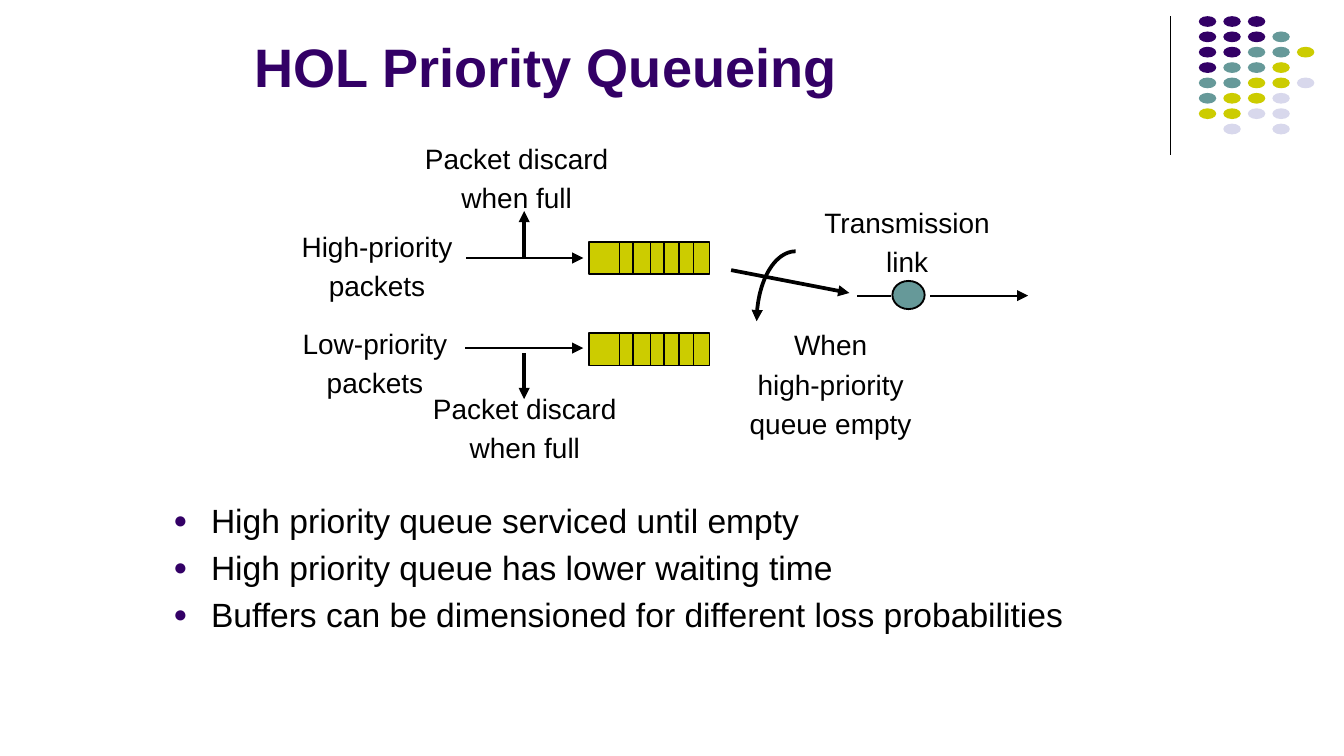
from math import cos, pi, sin

from lxml.etree import SubElement
from pptx import Presentation
from pptx.dml.color import RGBColor
from pptx.enum.shapes import MSO_CONNECTOR, MSO_SHAPE
from pptx.enum.text import MSO_ANCHOR, MSO_AUTO_SIZE, PP_ALIGN
from pptx.oxml.ns import qn
from pptx.util import Inches, Pt

# Content
TITLE = "HOL Priority Queueing"
POINTS = [
    "High priority queue serviced until empty",
    "High priority queue has lower waiting time",
    "Buffers can be dimensioned for different loss probabilities",
]
LABELS = [  # left, top, width, height, lines
    (6.05, 1.49, 1.4, 0.63, ["Transmission", "link"]),
    (3.08, 1.01, 1.53, 0.63, ["Packet discard", "when full"]),
    (2.16, 1.67, 1.29, 0.63, ["High-priority", "packets"]),
    (2.17, 2.39, 1.24, 0.63, ["Low-priority", "packets"]),
    (3.14, 2.87, 1.53, 0.63, ["Packet discard", "when full"]),
    (5.42, 2.4, 1.52, 0.93, ["When", "high-priority", "queue empty"]),
]
ARROWS = [  # x1, y1, x2, y2, weight
    (3.47, 1.92, 4.34, 1.92, 1),  # high-priority arrivals
    (3.46, 2.59, 4.34, 2.59, 1),  # low-priority arrivals
    (3.9, 1.91, 3.9, 1.57, 2),    # high-priority discard
    (3.9, 2.63, 3.9, 2.97, 2),    # low-priority discard
    (5.44, 2.01, 6.32, 2.18, 2),  # server
    (6.92, 2.2, 7.65, 2.2, 1),    # link output
]
QUEUE_TOPS = [1.8, 2.48]
QUEUE_LEFT, QUEUE_WIDTH, QUEUE_HEIGHT = 4.38, 0.9, 0.24
SLOT_OFFSETS = [0.23, 0.33, 0.46, 0.56, 0.67, 0.78]
DOT_ROWS = ["PPP", "PPPT", "PPTTY", "PTTY", "TTYYL", "TYYL", "YYLL", " L L"]

COLORS = {"purple": "330066", "teal": "669999", "yellow": "CCCC00",
          "lilac": "D8D8EC", "black": "000000"}
DOT_COLORS = {"P": "purple", "T": "teal", "Y": "yellow", "L": "lilac"}
FONT = "Arial"


def color(name):
    return RGBColor.from_string(COLORS[name])


def add_arrowhead(line_shape, end="tailEnd"):
    ln = line_shape.line._get_or_add_ln()
    SubElement(ln, qn("a:" + end), type="triangle")


def add_line(slide, x1, y1, x2, y2, weight=1):
    line = slide.shapes.add_connector(
        MSO_CONNECTOR.STRAIGHT, Inches(x1), Inches(y1), Inches(x2), Inches(y2))
    line.line.color.rgb = color("black")
    line.line.width = Pt(weight)
    SubElement(line._element.spPr, qn("a:effectLst"))
    return line


def add_filled(slide, kind, left, top, width, height, fill, outlined=True):
    shape = slide.shapes.add_shape(
        kind, Inches(left), Inches(top), Inches(width), Inches(height))
    shape.shadow.inherit = False
    shape.fill.solid()
    shape.fill.fore_color.rgb = color(fill)
    if outlined:
        shape.line.color.rgb = color("black")
        shape.line.width = Pt(1)
    else:
        shape.line.fill.background()


def style_runs(paragraph, size, name, bold=False):
    for run in paragraph.runs:
        run.font.name = FONT
        run.font.size = Pt(size)
        run.font.bold = bold
        run.font.color.rgb = color(name)


def add_text(slide, left, top, width, height, lines, size, align):
    box = slide.shapes.add_textbox(
        Inches(left), Inches(top), Inches(width), Inches(height))
    frame = box.text_frame
    frame.word_wrap = True
    frame.margin_left = frame.margin_right = Inches(0.07)
    frame.margin_top = frame.margin_bottom = Inches(0.04)
    frame.text = "\n".join(lines)
    for paragraph in frame.paragraphs:
        paragraph.alignment = align
        paragraph.space_before = Pt(size * 0.2)
        style_runs(paragraph, size, "black")
    return frame


def add_bullet(paragraph):
    props = paragraph._p.get_or_add_pPr()
    props.set("marL", str(Inches(0.28)))
    props.set("indent", str(-Inches(0.28)))
    bullet_color = SubElement(props, qn("a:buClr"))
    SubElement(bullet_color, qn("a:srgbClr"), val=COLORS["purple"])
    SubElement(props, qn("a:buSzPct"), val="70000")
    SubElement(props, qn("a:buFont"), typeface=FONT)
    SubElement(props, qn("a:buChar"), char="●")


def main():
    prs = Presentation()
    prs.slide_width = Inches(10)
    prs.slide_height = prs.slide_width * 9 // 16
    slide = prs.slides.add_slide(prs.slide_layouts[5])

    # Corner decoration
    add_line(slide, 8.71, 0.12, 8.71, 1.15, 0.75)
    for row, dots in enumerate(DOT_ROWS):
        for column, dot in enumerate(dots):
            if dot in DOT_COLORS:
                add_filled(slide, MSO_SHAPE.OVAL, 8.92 + 0.73 / 4 * column,
                           0.12 + 0.8 / 7 * row, 0.13, 0.08,
                           DOT_COLORS[dot], outlined=False)

    # Title
    title = slide.shapes.title
    title.left, title.top = Inches(1.79), Inches(0.25)
    title.width, title.height = Inches(6.19), Inches(0.53)
    title.text_frame.text = TITLE
    title.text_frame.auto_size = MSO_AUTO_SIZE.NONE
    title.text_frame.vertical_anchor = MSO_ANCHOR.BOTTOM
    heading = title.text_frame.paragraphs[0]
    heading.alignment = PP_ALIGN.LEFT
    style_runs(heading, 29, "purple", bold=True)

    # Bullet points
    body = add_text(slide, 1.22, 3.68, 7.45, 1.13, POINTS, 18, PP_ALIGN.LEFT)
    for paragraph in body.paragraphs:
        add_bullet(paragraph)

    # Queues
    for top in QUEUE_TOPS:
        add_filled(slide, MSO_SHAPE.RECTANGLE, QUEUE_LEFT, top,
                   QUEUE_WIDTH, QUEUE_HEIGHT, "yellow")
        for offset in SLOT_OFFSETS:
            x = QUEUE_LEFT + offset
            add_line(slide, x, top, x, top + QUEUE_HEIGHT)

    # Transmission link and arrows
    add_line(slide, 6.38, 2.2, 6.63, 2.2)
    add_filled(slide, MSO_SHAPE.OVAL, 6.64, 2.09, 0.24, 0.21, "teal")
    for arrow in ARROWS:
        add_arrowhead(add_line(slide, *arrow))

    # Curved switch arrow: a quarter ellipse
    steps = 24
    curve = [(Inches(5.92 - 0.29 * cos(pi / 2 * i / steps)),
              Inches(2.39 - 0.52 * sin(pi / 2 * i / steps)))
             for i in range(steps + 1)]
    builder = slide.shapes.build_freeform(*curve[0])
    builder.add_line_segments(curve[1:], close=False)
    switch = builder.convert_to_shape()
    switch.shadow.inherit = False
    switch.fill.background()
    switch.line.color.rgb = color("black")
    switch.line.width = Pt(2)
    add_arrowhead(switch, "headEnd")

    # Labels
    for *place, lines in LABELS:
        add_text(slide, *place, lines, 15, PP_ALIGN.CENTER)

    prs.save("out.pptx")


if __name__ == "__main__":
    main()
